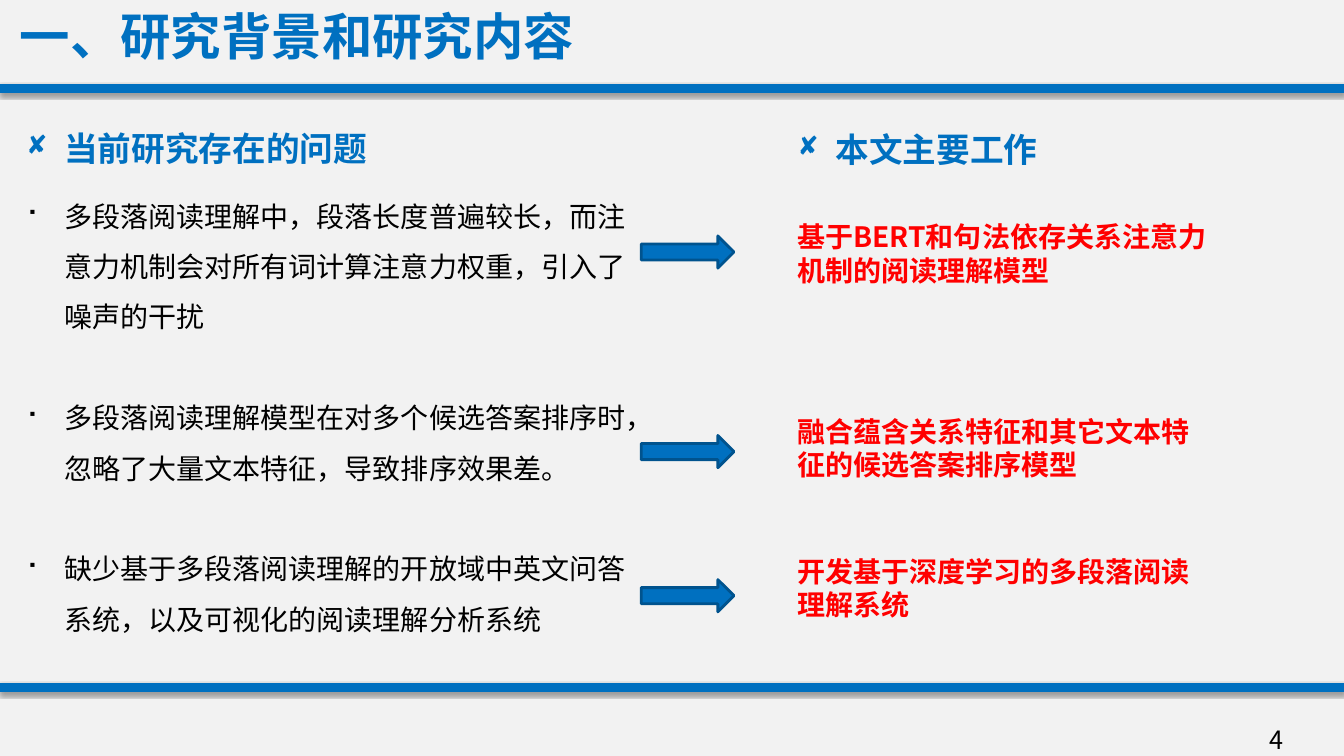
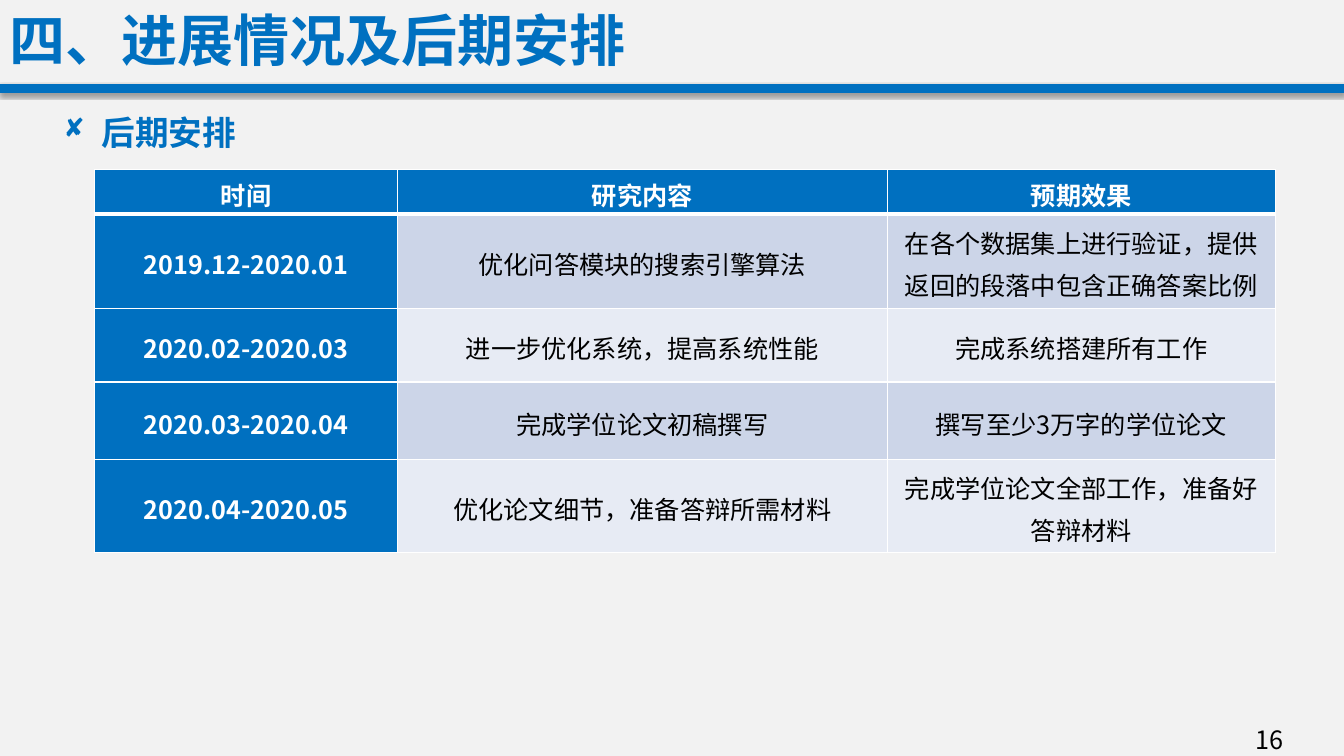
from lxml.etree import SubElement
from pptx import Presentation
from pptx.dml.color import RGBColor
from pptx.enum.shapes import MSO_CONNECTOR, MSO_SHAPE
from pptx.enum.text import MSO_ANCHOR, PP_ALIGN
from pptx.oxml.ns import qn
from pptx.util import Inches, Pt

COLORS = {"blue": "0070C0", "outline": "00538E", "red": "FF0000", "black": "000000",
          "white": "FFFFFF", "page": "F2F2F2", "odd": "CCD5E8", "even": "E7EBF4"}
FONT = "Noto Sans CJK SC"
WIDTH, HEIGHT = 13.33, 7.5

# Text formats; leading is the line pitch in points
HEADING = {"size": 24, "bold": True, "color": "blue", "leading": 31, "bullet": "◻"}
PROBLEM = {"size": 20, "color": "black", "leading": 36, "bullet": "■", "gap": 36}
WORK = {"size": 20, "bold": True, "color": "red", "leading": 24}
NUMBER = {"size": 18, "color": "black", "leading": 23, "align": PP_ALIGN.RIGHT}
LABEL = {"size": 18, "bold": True, "color": "white", "leading": 1.15,
         "align": PP_ALIGN.CENTER}
ENTRY = {**LABEL, "bold": False, "color": "black"}


def rgb(name):
    return RGBColor.from_string(COLORS[name])


class Deck:
    def __init__(self):
        self.prs = Presentation()
        self.prs.slide_width = Inches(WIDTH)
        self.prs.slide_height = Inches(HEIGHT)

    def slide(self, title, number, width, **style):
        """Start a slide with its title, upper band and page number."""
        self.s = self.prs.slides.add_slide(self.prs.slide_layouts[6])
        fill = self.s.background.fill
        fill.solid()
        fill.fore_color.rgb = rgb("page")
        self.text([title], 0, -0.05, width, 0.75,
                  {"bold": True, "color": "blue", **style})
        self.band(0.88)
        self.text([number], 9.72, 7.12, 3.11, 0.38, NUMBER)

    def paragraph(self, p, text, style):
        """Fill one paragraph in a given format."""
        leading = style["leading"]
        p.line_spacing = leading if isinstance(leading, float) else Pt(leading)
        p.alignment = style.get("align", PP_ALIGN.LEFT)
        if "bullet" in style:
            pPr = p._p.get_or_add_pPr()
            pPr.set("marL", str(Inches(0.38)))
            pPr.set("indent", str(-Inches(0.38)))
            SubElement(pPr, qn("a:buFont"), typeface="Wingdings")
            SubElement(pPr, qn("a:buChar"), char=style["bullet"])
        r = p.add_run()
        r.text = text
        face = style.get("font", FONT)
        for name, value in {"name": face, "size": Pt(style["size"]),
                            "bold": style.get("bold", False)}.items():
            setattr(r.font, name, value)
        r.font.color.rgb = rgb(style["color"])
        SubElement(r._r.get_or_add_rPr(), qn("a:ea"), typeface=FONT)

    def text(self, lines, x, y, w, h, style):
        box = self.s.shapes.add_textbox(Inches(x), Inches(y), Inches(w), Inches(h))
        tf = box.text_frame
        tf.word_wrap = True
        for i, line in enumerate(lines):
            p = tf.add_paragraph() if i else tf.paragraphs[0]
            if i:
                p.space_before = Pt(style.get("gap", 0))
            self.paragraph(p, line, style)

    def band(self, y):
        """Draw a full-width line with a soft shadow below it."""
        sp = self.s.shapes.add_connector(MSO_CONNECTOR.STRAIGHT, 0, Inches(y),
                                         Inches(WIDTH), Inches(y))
        sp.line.color.rgb = rgb("blue")
        sp.line.width = Pt(6)
        effects = SubElement(sp._element.spPr, qn("a:effectLst"))
        shadow = SubElement(effects, qn("a:outerShdw"), blurRad=str(Pt(3.1)),
                            dist=str(Pt(1.6)), dir="5400000", rotWithShape="0")
        color = SubElement(shadow, qn("a:srgbClr"), val=COLORS["black"])
        SubElement(color, qn("a:alpha"), val="38000")

    def arrow(self, x, y):
        sp = self.s.shapes.add_shape(MSO_SHAPE.RIGHT_ARROW, Inches(x), Inches(y),
                                     Inches(0.92), Inches(0.32))
        sp.shadow.inherit = False
        sp.fill.solid()
        sp.fill.fore_color.rgb = rgb("blue")
        sp.line.color.rgb = rgb("outline")
        sp.line.width = Pt(2)

    def cell(self, cell, text, fill, style, top, bottom):
        for name, value in {"margin_left": Inches(0.07), "margin_right": Inches(0.07),
                            "margin_top": 0, "margin_bottom": 0,
                            "vertical_anchor": MSO_ANCHOR.MIDDLE}.items():
            setattr(cell, name, value)
        tcPr = cell._tc.get_or_add_tcPr()
        for side, width in {"L": 1, "R": 1, "T": top, "B": bottom}.items():
            ln = SubElement(tcPr, qn("a:ln" + side), w=str(Pt(width)))
            solid = SubElement(ln, qn("a:solidFill"))
            SubElement(solid, qn("a:srgbClr"), val=COLORS["white"])
        cell.fill.solid()
        cell.fill.fore_color.rgb = rgb(fill)
        self.paragraph(cell.text_frame.paragraphs[0], text, style)

    def table(self, rows, x, y, widths, heights):
        frame = self.s.shapes.add_table(len(rows), len(widths), Inches(x), Inches(y),
                                        Inches(sum(widths)), Inches(sum(heights)))
        table = frame.table
        for column, width in zip(table.columns, widths):
            column.width = Inches(width)
        for i, (row, height) in enumerate(zip(rows, heights)):
            table.rows[i].height = Inches(height)
            for j, text in enumerate(row):
                label = i == 0 or j == 0
                fill = "blue" if label else "odd" if i % 2 else "even"
                self.cell(table.cell(i, j), text, fill, LABEL if label else ENTRY,
                          3 if i == 1 else 1, 3 if i == 0 else 1)


def main():
    deck = Deck()

    # Problems on the left, matching work on the right
    deck.slide("一、研究背景和研究内容", "4", 5.89, size=36, leading=47,
               align=PP_ALIGN.CENTER)
    deck.band(6.82)
    deck.text(["当前研究存在的问题"], 0.16, 1.19, 3.61, 0.5, HEADING)
    deck.text(["本文主要工作"], 7.81, 1.2, 2.96, 0.5, HEADING)
    deck.text(["多段落阅读理解中，段落长度普遍较长，而注意力机制会对所有词计算注意力权重，引入了噪声的干扰",
               "多段落阅读理解模型在对多个候选答案排序时，忽略了大量文本特征，导致排序效果差。",
               "缺少基于多段落阅读理解的开放域中英文问答系统，以及可视化的阅读理解分析系统"],
              0.16, 1.76, 6.35, 4.59, PROBLEM)
    for arrow_y, work_y, width, work in (
            (2.34, 2.13, 4.4, "基于BERT和句法依存关系注意力机制的阅读理解模型"),
            (4.32, 4.06, 4.16, "融合蕴含关系特征和其它文本特征的候选答案排序模型"),
            (5.75, 5.45, 4.2, "开发基于深度学习的多段落阅读理解系统")):
        deck.arrow(6.36, arrow_y)
        deck.text([work], 7.81, work_y, width, 0.77, WORK)

    # Schedule
    deck.slide("四、进展情况及后期安排", "16", 6.67, size=40, leading=52, font="Arial")
    deck.text(["后期安排"], 0.53, 1.03, 1.97, 0.5, HEADING)
    deck.table([
        ("时间", "研究内容", "预期效果"),
        ("2019.12-2020.01", "优化问答模块的搜索引擎算法",
         "在各个数据集上进行验证，提供返回的段落中包含正确答案比例"),
        ("2020.02-2020.03", "进一步优化系统，提高系统性能", "完成系统搭建所有工作"),
        ("2020.03-2020.04", "完成学位论文初稿撰写", "撰写至少3万字的学位论文"),
        ("2020.04-2020.05", "优化论文细节，准备答辩所需材料",
         "完成学位论文全部工作，准备好答辩材料"),
    ], 0.94, 1.68, (3, 4.86, 3.85), (0.44, 0.94, 0.73, 0.77, 0.92))

    deck.prs.save("out.pptx")


if __name__ == "__main__":
    main()
